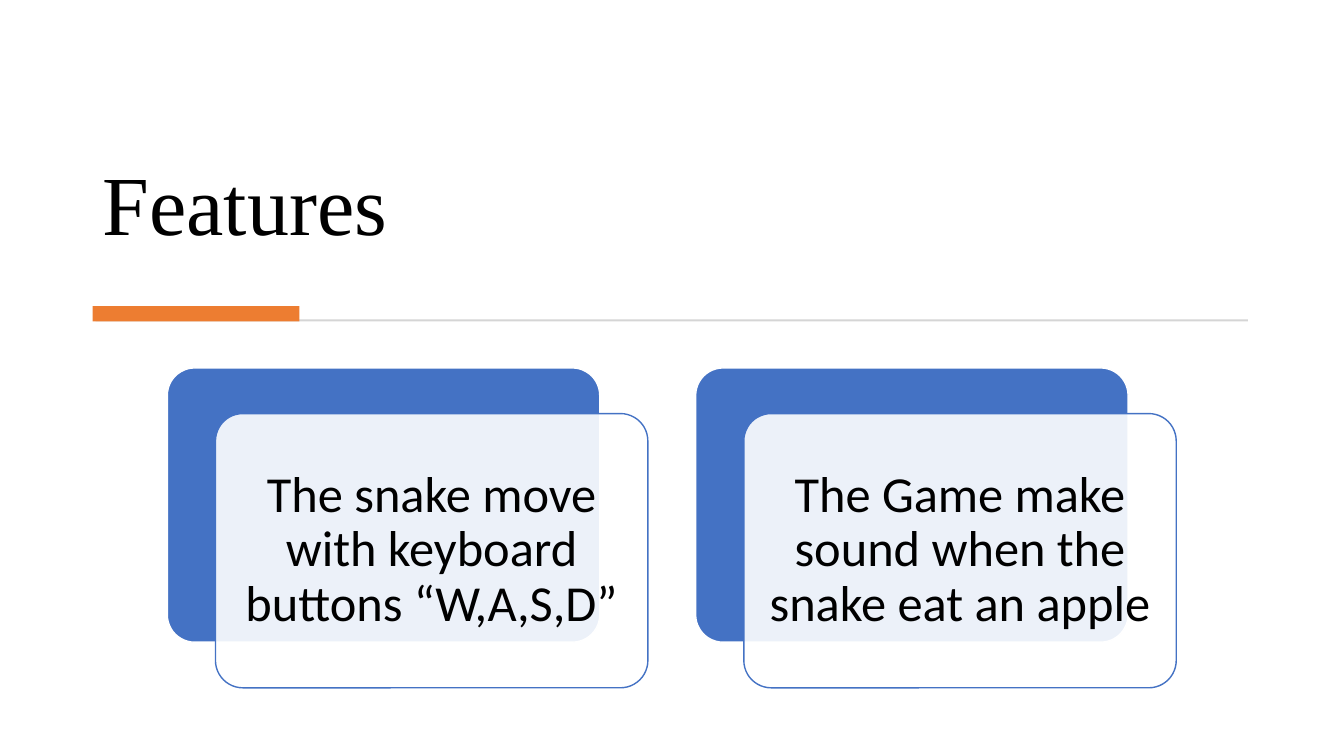
from dataclasses import dataclass

import lxml.etree
import pptx
import pptx.dml.color
import pptx.enum.shapes
import pptx.enum.text
import pptx.oxml.ns
import pptx.util

Pt = pptx.util.Pt
SHAPE = pptx.enum.shapes.MSO_SHAPE
ANCHOR = pptx.enum.text.MSO_ANCHOR
ALIGN = pptx.enum.text.PP_ALIGN

BLUE, ORANGE, GREY = "4472C4", "ED7D31", "D5D5D5"
WHITE, BLACK = "FFFFFF", "000000"

CARD_W, CARD_H = 308.9, 195.9
CARD_LEFT, CARD_TOP, CARD_PITCH = 119.5, 262.8, 377.4
FRONT_DX, FRONT_DY = 34.4, 32.6
CARD_INSET = 10.8


@dataclass
class Bar:
    left: float
    top: float
    width: float
    height: float
    color: str


BARS = [
    Bar(68.4, 228.2, 823, 1.44, GREY),
    Bar(66.2, 218.7, 147.6, 10.8, ORANGE),
]
FEATURES = [
    "The snake move with keyboard buttons “W,A,S,D”",
    "The Game make sound when the snake eat an apple",
]


def rgb(color: str) -> pptx.dml.color.RGBColor:
    return pptx.dml.color.RGBColor.from_string(color)


def set_opacity(sp, percent: int) -> None:
    clr = sp.fill._xPr.find(".//" + pptx.oxml.ns.qn("a:srgbClr"))
    alpha = lxml.etree.SubElement(clr, pptx.oxml.ns.qn("a:alpha"))
    alpha.set("val", str(percent * 1000))


def add_box(s, kind, left: float, top: float, width: float, height: float,
            fill: str, line: str | None = None):
    sp = s.shapes.add_shape(kind, Pt(left), Pt(top), Pt(width), Pt(height))
    sp.shadow.inherit = False
    sp.fill.solid()
    sp.fill.fore_color.rgb = rgb(fill)
    if line:
        sp.line.color.rgb = rgb(line)
        sp.line.width = Pt(1)
    else:
        sp.line.fill.background()
    return sp


def set_text(tf, text: str, font: str, size: float, align, anchor) -> None:
    tf.word_wrap = True
    tf.auto_size = pptx.enum.text.MSO_AUTO_SIZE.NONE
    tf.vertical_anchor = anchor
    p = tf.paragraphs[0]
    p.text = text
    p.alignment = align
    p.line_spacing = 0.9
    p.font.name = font
    p.font.size = Pt(size)
    p.font.color.rgb = rgb(BLACK)


def add_card(s, left: float, top: float, text: str) -> None:
    """Draw a solid back card and an offset translucent card with the text."""
    back = add_box(s, SHAPE.ROUNDED_RECTANGLE, left, top, CARD_W, CARD_H,
                   BLUE, WHITE)
    front = add_box(s, SHAPE.ROUNDED_RECTANGLE, left + FRONT_DX,
                    top + FRONT_DY, CARD_W, CARD_H, WHITE, BLUE)
    for sp in (back, front):
        sp.adjustments[0] = 0.1
    set_opacity(front, 90)
    tf = front.text_frame
    tf.margin_left = tf.margin_right = Pt(CARD_INSET)
    tf.margin_top = tf.margin_bottom = Pt(CARD_INSET)
    set_text(tf, text, "Calibri", 36, ALIGN.CENTER, ANCHOR.MIDDLE)


def main() -> None:
    prs = pptx.Presentation()
    prs.slide_width, prs.slide_height = Pt(960), Pt(540)
    s = prs.slides.add_slide(prs.slide_layouts[5])

    title = s.shapes.title
    title.left, title.top = Pt(66.2), Pt(33.8)
    title.width, title.height = Pt(827.3), Pt(151.2)
    set_text(title.text_frame, "Features", "Times New Roman", 60,
             ALIGN.LEFT, ANCHOR.BOTTOM)

    for bar in BARS:
        add_box(s, SHAPE.RECTANGLE, bar.left, bar.top, bar.width, bar.height,
                bar.color)
    for i, text in enumerate(FEATURES):
        add_card(s, CARD_LEFT + i * CARD_PITCH, CARD_TOP, text)

    prs.save("out.pptx")


if __name__ == "__main__":
    main()
